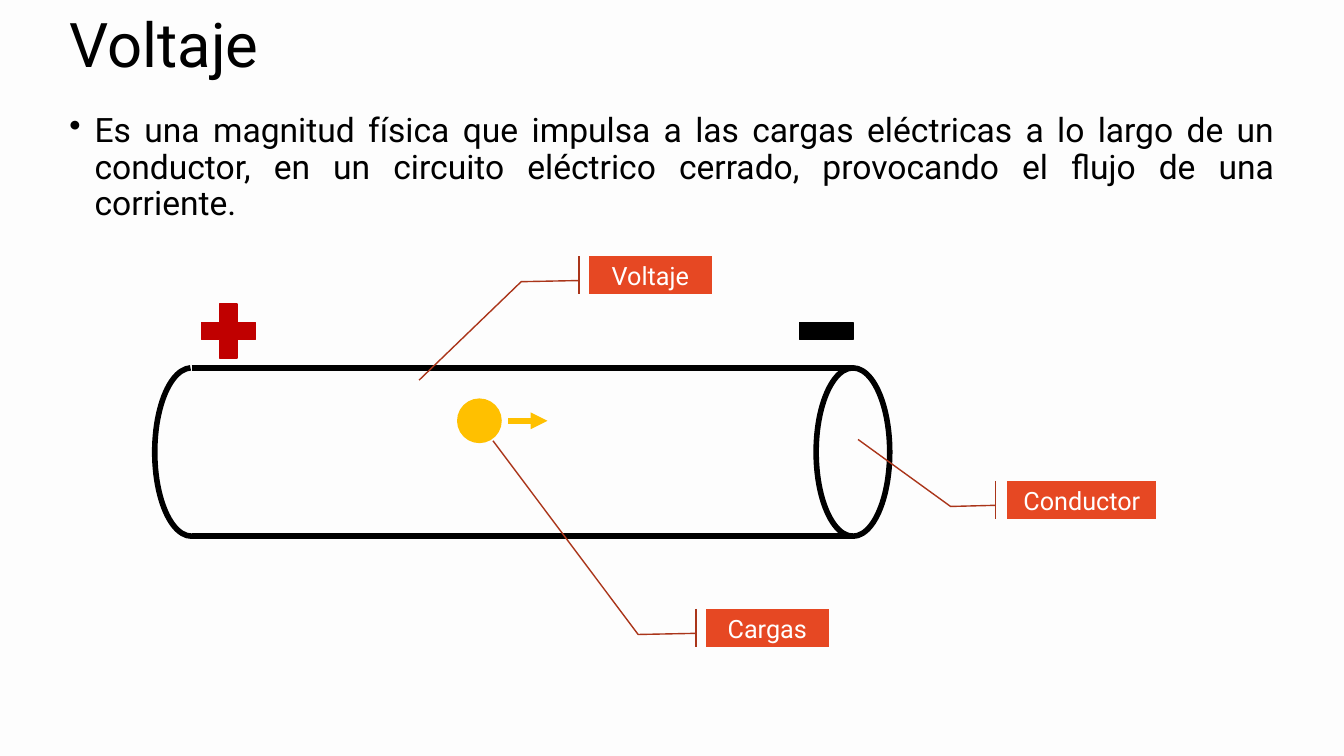
from pptx import Presentation
from pptx.dml.color import RGBColor
from pptx.enum.shapes import MSO_CONNECTOR, MSO_SHAPE
from pptx.enum.text import MSO_ANCHOR, PP_ALIGN
from pptx.oxml.ns import qn
from pptx.util import Inches, Pt
from lxml import etree

STRAIGHT = MSO_CONNECTOR.STRAIGHT
OVAL, RECT, ARC = MSO_SHAPE.OVAL, MSO_SHAPE.RECTANGLE, MSO_SHAPE.ARC
PLUS, CALLOUT = MSO_SHAPE.MATH_PLUS, MSO_SHAPE.LINE_CALLOUT_2_ACCENT_BAR
TOP, MIDDLE = MSO_ANCHOR.TOP, MSO_ANCHOR.MIDDLE
LEFT, CENTER, JUSTIFY = PP_ALIGN.LEFT, PP_ALIGN.CENTER, PP_ALIGN.JUSTIFY

THEME = {
    "font": "Roboto", "title": 44, "body": 24, "label": 18,
    "paper": "FDFDFD", "ink": "000000", "white": "FFFFFF",
    "charge": "FFC000", "plus": "C00000", "tag": "E64823", "edge": "AA351A",
    "thin": 1, "thick": 4,
}

TITLE = "Voltaje"
BODY = ("Es una magnitud física que impulsa a las cargas eléctricas a lo largo de un "
        "conductor, en un circuito eléctrico cerrado, provocando el flujo de una corriente.")
LABELS = [
    ("Voltaje", 5.84, 2.54, 1.22, -0.55, (3.24, -1.38)),
    ("Cargas", 7, 6.04, 1.22, -0.55, (-4.39, -1.73)),
    ("Conductor", 9.99, 4.77, 1.48, -0.38, (-1.08, -1)),
]
TAG_H = 0.38
TUBE = {"left": 1.9, "right": 8.46, "top": 3.65, "high": 1.67, "cap": 0.73}
CHARGE = (4.54, 3.96, 0.43)
ARROW = (5.04, 5.43)

deck = Presentation()
deck.slide_width, deck.slide_height = Inches(13.33), Inches(7.5)
slide = deck.slides.add_slide(deck.slide_layouts[6])


def color(name):
    return RGBColor.from_string(THEME[name])


def write(shape, text, size, ink, align, anchor):
    frame = shape.text_frame
    frame.word_wrap = True
    frame.vertical_anchor = anchor
    para = frame.paragraphs[0]
    para.alignment = align
    run = para.add_run()
    run.text = text
    run.font.name = THEME["font"]
    run.font.size = Pt(THEME[size])
    run.font.color.rgb = color(ink)
    return para


def block(top, high, text, size, align, anchor):
    box = slide.shapes.add_textbox(Inches(0.59), Inches(top), Inches(12.15), Inches(high))
    para = write(box, text, size, "ink", align, anchor)
    para.line_spacing = 0.9
    return para


def draw(kind, left, top, wide, high, fill, line, width="thin"):
    shape = slide.shapes.add_shape(
        kind, Inches(left), Inches(top), Inches(wide), Inches(high))
    shape.shadow.inherit = False
    if fill:
        shape.fill.solid()
        shape.fill.fore_color.rgb = color(fill)
    else:
        shape.fill.background()
    shape.line.color.rgb = color(line)
    shape.line.width = Pt(THEME[width])
    return shape


def adjust(shape, values):
    for i, value in enumerate(values):
        shape.adjustments[i] = value


def rule(start, end, y, ink, arrow=False):
    line = slide.shapes.add_connector(
        STRAIGHT, Inches(start), Inches(y), Inches(end), Inches(y))
    line.line.color.rgb = color(ink)
    line.line.width = Pt(THEME["thick"])
    if arrow:
        etree.SubElement(line.line._get_or_add_ln(), qn("a:tailEnd"), type="triangle")
    etree.SubElement(line._element.spPr, qn("a:effectLst"))


def tube():
    left, right, top, high, cap = TUBE.values()
    for y in (top, top + high):
        rule(left, right, y, "ink")
    draw(PLUS, left, top - cap, cap, cap, "plus", "plus")
    draw(RECT, right - 0.53, 3.2, 0.53, 0.17, "ink", "ink")
    draw(OVAL, right - cap / 2, top, cap, high, None, "ink", "thick")
    arc = draw(ARC, left - cap / 2, top, cap, high, None, "ink", "thick")
    adjust(arc, (52.61, 161.59))


def main():
    back = slide.background.fill
    back.solid()
    back.fore_color.rgb = color("paper")

    block(0.05, 0.84, TITLE, "title", LEFT, MIDDLE)
    para = block(1.08, 5.83, BODY, "body", JUSTIFY, TOP)
    props = para._p.get_or_add_pPr()
    props.set("marL", str(Inches(0.25)))
    props.set("indent", str(-Inches(0.25)))
    etree.SubElement(props, qn("a:buChar"), char="•")

    left, top, size = CHARGE
    draw(OVAL, left, top, size, size, "charge", "charge")
    tube()
    rule(*ARROW, top + size / 2, "charge", arrow=True)

    for text, left, top, wide, bend, tip in LABELS:
        tag = draw(CALLOUT, left, top, wide, TAG_H, "tag", "edge")
        adjust(tag, (0.64, -0.08, 0.67, bend, *tip))
        write(tag, text, "label", "white", CENTER, MIDDLE)

    deck.save("out.pptx")


if __name__ == "__main__":
    main()
